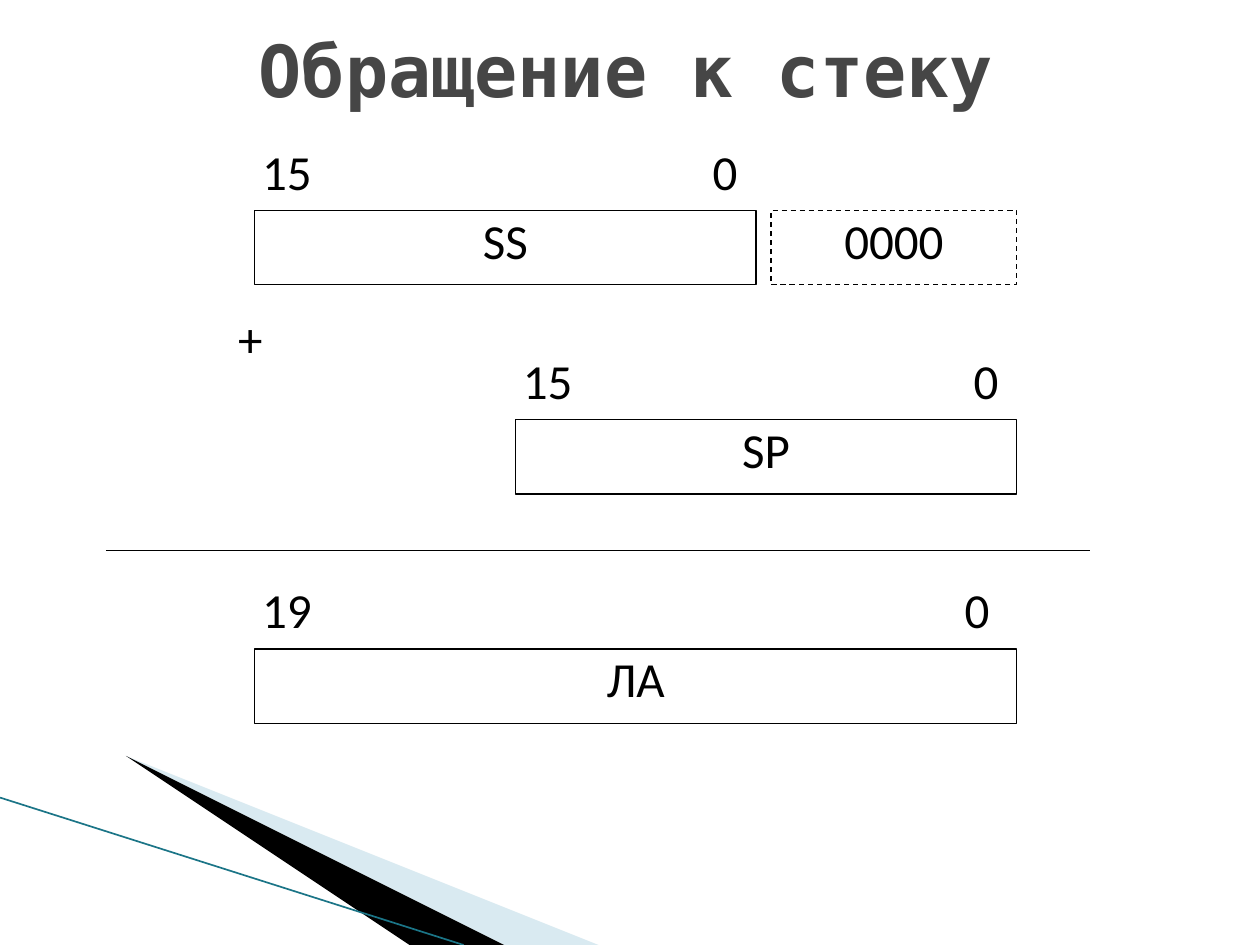
import pptx
import pptx.util
import pptx.dml.color
import pptx.enum.dml
import pptx.enum.shapes
import pptx.enum.text
import pptx.oxml
import pptx.oxml.ns
import lxml.etree

Inches = pptx.util.Inches
Align = pptx.enum.text.PP_ALIGN
Anchor = pptx.enum.text.MSO_ANCHOR

TITLE = "Обращение к стеку"
BLACK, WHITE = "000000", "FFFFFF"
BOX_HEIGHT, LABEL_HEIGHT = 0.59, 0.48
LABEL_RISE = 0.55
REGISTERS = [
    {"name": "SS", "left": 2.02, "top": 1.67, "width": 3.98, "high": "15", "low_inset": 0},
    {"name": "SP", "left": 4.09, "top": 3.33, "width": 3.98, "high": "15", "low_inset": 0},
    {"name": "ЛА", "left": 2.02, "top": 5.15, "width": 6.05, "high": "19", "low_inset": 0.07},
]
WEDGES = [
    ([(0.55, 6.5), (5.95, 7.5), (4.56, 7.5)], "A0CBDC", 40),
    ([(0.53, 6.49), (4.57, 7.5), (3.72, 7.5)], BLACK, 100),
]


def color(value):
    return pptx.dml.color.RGBColor.from_string(value)


def add_span(para, text, font, size, ink, bold=False):
    span = para.add_run()
    span.text = text
    span.font.name = font
    span.font.size = pptx.util.Pt(size)
    span.font.bold = bold
    span.font.color.rgb = color(ink)


def add_wedge(page, points, fill, opacity):
    builder = page.shapes.build_freeform(*points[0], scale=Inches(1))
    builder.add_line_segments(points[1:], close=True)
    wedge = builder.convert_to_shape()
    wedge.shadow.inherit = False
    wedge.fill.solid()
    wedge.fill.fore_color.rgb = color(fill)
    wedge.line.fill.background()
    if opacity < 100:
        tint = wedge.fill._xPr.find(".//" + pptx.oxml.ns.qn("a:srgbClr"))
        lxml.etree.SubElement(tint, pptx.oxml.ns.qn("a:alpha"), val=str(opacity * 1000))


def add_line(shapes, start, end, ink, width):
    line = shapes.add_connector(
        pptx.enum.shapes.MSO_CONNECTOR.STRAIGHT, *map(Inches, start + end))
    line.line.color.rgb = color(ink)
    line.line.width = pptx.util.Pt(width)
    lxml.etree.SubElement(line._element.spPr, pptx.oxml.ns.qn("a:effectLst"))


def add_box(shapes, text, left, top, width, height, align=Align.CENTER,
            outlined=False, dashed=False):
    box = shapes.add_shape(
        pptx.enum.shapes.MSO_SHAPE.RECTANGLE, *map(Inches, (left, top, width, height)))
    box.shadow.inherit = False
    box.fill.solid()
    box.fill.fore_color.rgb = color(WHITE)
    if outlined:
        box.line.color.rgb = color(BLACK)
        box.line.width = pptx.util.Pt(0.75)
    else:
        box.line.fill.background()
    if dashed:
        box.line.dash_style = pptx.enum.dml.MSO_LINE.DASH
    frame = box.text_frame
    frame.margin_left = frame.margin_right = frame.margin_top = frame.margin_bottom = 0
    frame.vertical_anchor = Anchor.TOP
    para = frame.paragraphs[0]
    para.alignment = align
    add_span(para, text, "Calibri", 28, BLACK)


def add_register(shapes, name, left, top, width, high, low_inset):
    label_top = top - LABEL_RISE
    add_box(shapes, name, left, top, width, BOX_HEIGHT, outlined=True)
    add_box(shapes, high, left + 0.06, label_top, 0.59, LABEL_HEIGHT, Align.LEFT)
    add_box(shapes, "0", left + width - 0.49 - low_inset, label_top, 0.49, LABEL_HEIGHT)


def main():
    deck = pptx.Presentation()
    deck.slide_width, deck.slide_height = Inches(10), Inches(7.5)
    page = deck.slides.add_slide(deck.slide_layouts[5])

    title = page.shapes.title
    title.left, title.top, title.width, title.height = map(Inches, (0.47, 0, 9, 1.09))
    title.text_frame.vertical_anchor = Anchor.MIDDLE
    heading = title.text_frame.paragraphs[0]
    heading.alignment = Align.CENTER
    add_span(heading, TITLE, "DejaVu Sans Mono", 41, "464646", bold=True)

    for points, fill, opacity in WEDGES:
        add_wedge(page, points, fill, opacity)
    add_line(page.shapes, (0, 6.33), (3.68, 7.5), "1B7587", 0.95)

    diagram = page.shapes.add_group_shape().shapes
    for register in REGISTERS:
        add_register(diagram, **register)
    add_box(diagram, "0000", 6.12, 1.67, 1.95, BOX_HEIGHT, outlined=True, dashed=True)
    add_box(diagram, "+", 1.89, 2.45, 0.3, LABEL_HEIGHT, Align.LEFT)
    add_line(diagram, (0.84, 4.37), (8.65, 4.37), BLACK, 0.75)

    deck.save("out.pptx")


if __name__ == "__main__":
    main()
